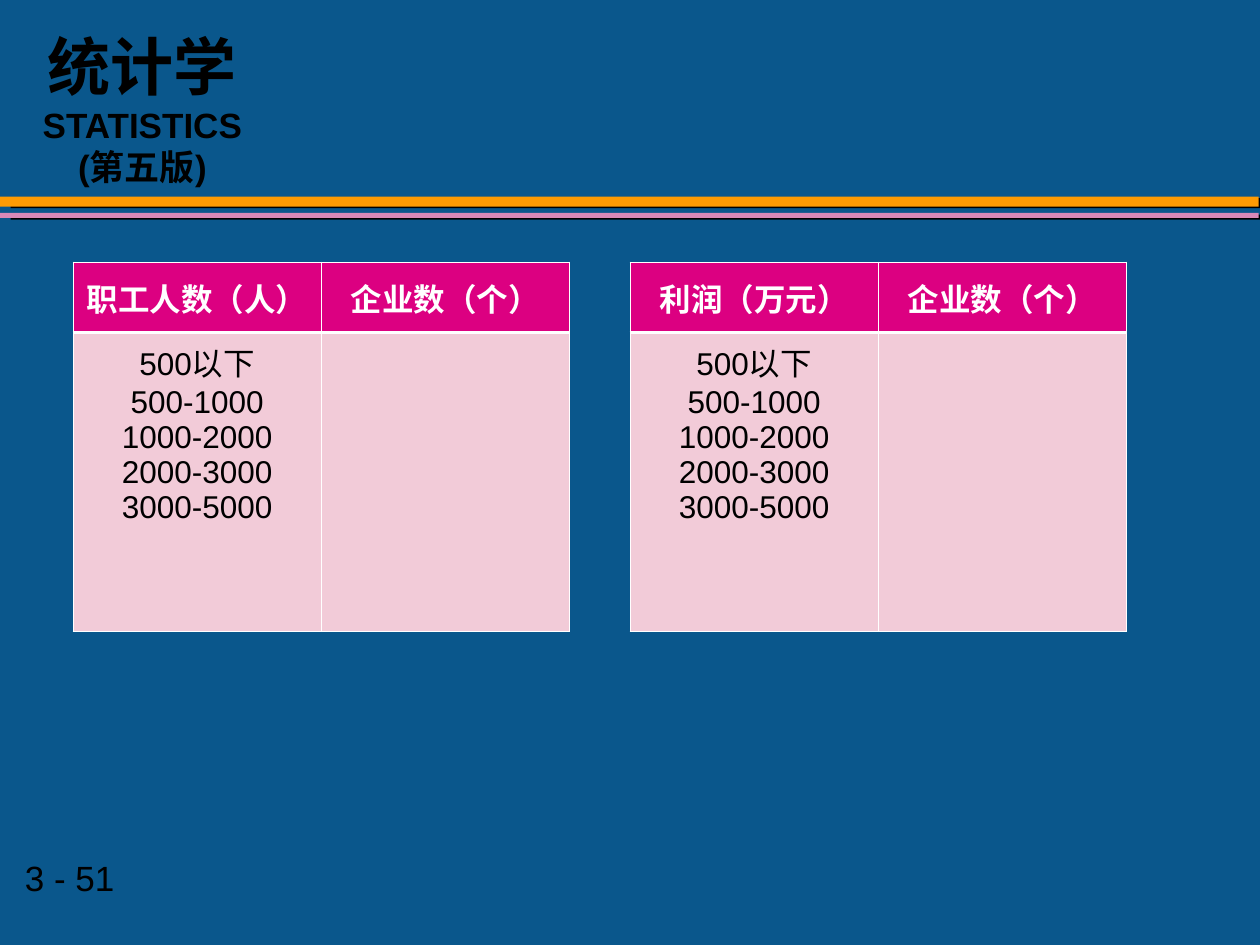
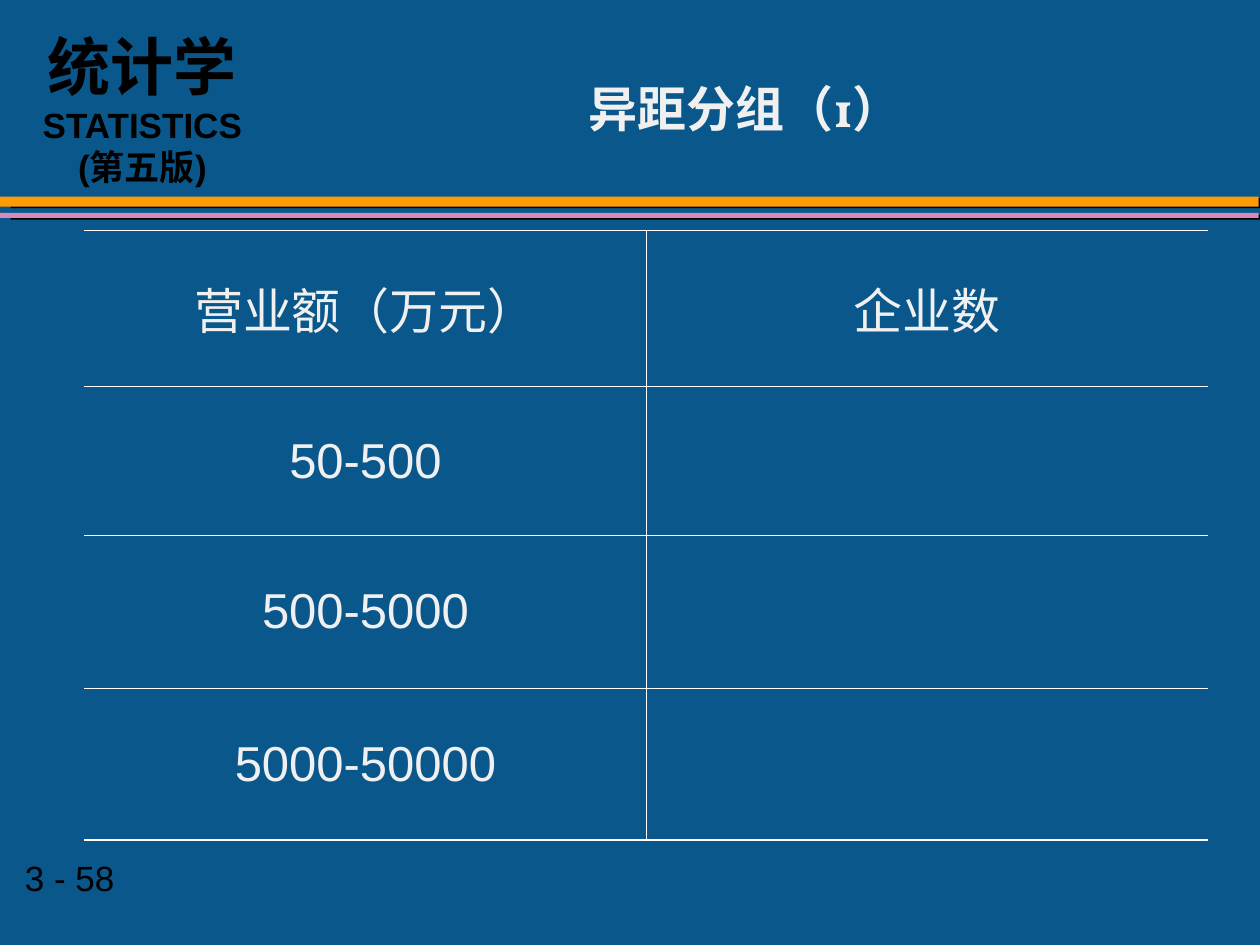
from lxml import etree
from pptx import Presentation
from pptx import util as u
from pptx.dml.color import RGBColor
from pptx.enum import shapes, text
from pptx.oxml.ns import qn

BLUE, ORANGE, PINK = "0A578C", "FE9B03", "D989B8"
MAGENTA, ROSE = "DC0081", "F2CBD8"
BLACK, WHITE, PALE = "000000", "FFFFFF", "F0F0F0"
THIN, RULE, THICK = 0.45, 1.08, 1.47
CENTER, LEFT = text.PP_ALIGN.CENTER, text.PP_ALIGN.LEFT
MIDDLE, TOP = text.MSO_ANCHOR.MIDDLE, text.MSO_ANCHOR.TOP


def rgb(color):
    return RGBColor.from_string(color)


def add_run(p, words, size=18, font="Arial", color=BLACK, bold=False):
    r = p.add_run()
    r.text = words
    r.font.size = u.Pt(size)
    r.font.name = font
    r.font.bold = bold
    r.font.color.rgb = rgb(color)


def write(tf, lines, align=CENTER, spacing=None, **fmt):
    """Write one paragraph per line, all in the same format."""
    for i, line in enumerate(lines):
        p = tf.add_paragraph() if i else tf.paragraphs[0]
        p.alignment = align
        if spacing:
            p.line_spacing = spacing
        add_run(p, line, **fmt)


def add_box(slide, x, y, w, h):
    sp = slide.shapes.add_textbox(*map(u.Inches, (x, y, w, h)))
    sp.text_frame.word_wrap = True
    return sp.text_frame


def add_band(slide, y, h, color):
    """Full-width rule with a hard black shadow."""
    sp = slide.shapes.add_shape(shapes.MSO_SHAPE.RECTANGLE, 0, u.Inches(y),
                                u.Inches(9.99), u.Inches(h))
    sp.fill.solid()
    sp.fill.fore_color.rgb = rgb(color)
    sp.line.fill.background()
    sp.shadow.inherit = False
    effects = sp._element.spPr.find(qn("a:effectLst"))
    shadow = etree.SubElement(effects, qn("a:outerShdw"), blurRad="0",
                              dist=str(u.Pt(6.1)), dir=str(9 * 60000),
                              algn="ctr", rotWithShape="0")
    etree.SubElement(shadow, qn("a:srgbClr"), val=BLACK)


def add_frame(slide, page):
    """Bands, page number and course name found on every slide."""
    add_band(slide, 1.56, 0.08, ORANGE)
    add_band(slide, 1.69, 0.04, PINK)
    write(add_box(slide, 0.1, 6.75, 1.87, 0.43), [f"3 - {page}"],
          align=LEFT, size=20)
    tf = add_box(slide, 0.17, 0.11, 1.92, 1.43)
    tf.margin_top = u.Inches(0.11)
    write(tf, ["统计学"], size=36, bold=True)
    add_run(tf.paragraphs[0], "STATISTICS", size=20, bold=True)
    p = tf.add_paragraph()
    p.alignment = CENTER
    add_run(p, "(第五版)", size=20, bold=True)


def set_borders(cell, left, right, top, bottom):
    """Draw white cell borders; a width of 0 means no line."""
    tcPr = cell._tc.get_or_add_tcPr()
    sides = zip("LRTB", (left, right, top, bottom))
    for i, (side, width) in enumerate(sides):
        ln = etree.Element(qn(f"a:ln{side}"), w=str(u.Pt(width)))
        if width:
            fill = etree.SubElement(ln, qn("a:solidFill"))
            etree.SubElement(fill, qn("a:srgbClr"), val=WHITE)
        else:
            etree.SubElement(ln, qn("a:noFill"))
        tcPr.insert(i, ln)


def add_table(slide, x, y, col_width, heights):
    sp = slide.shapes.add_table(len(heights), 2, u.Inches(x), u.Inches(y),
                                u.Inches(2 * col_width),
                                u.Inches(sum(heights)))
    table = sp.table
    table.first_row = table.horz_banding = False
    for col in table.columns:
        col.width = u.Inches(col_width)
    for row, height in zip(table.rows, heights):
        row.height = u.Inches(height)
    return table


def fill_cell(cell, lines, fill=None, anchor=MIDDLE, **fmt):
    if fill:
        cell.fill.solid()
        cell.fill.fore_color.rgb = rgb(fill)
    else:
        cell.fill.background()
    cell.vertical_anchor = anchor
    write(cell.text_frame, lines, **fmt)


def add_group_table(slide, x, variable):
    """Coloured table with a header row and one tall row of classes."""
    classes = ["500以下", "500-1000", "1000-2000", "2000-3000", "3000-5000"]
    table = add_table(slide, x, 2.08, 1.97, [0.56, 2.37])
    for c, (header, lines) in enumerate([(variable, classes),
                                         ("企业数（个）", [])]):
        head, body = table.cell(0, c), table.cell(1, c)
        fill_cell(head, [header], fill=MAGENTA, color=WHITE, bold=True)
        fill_cell(body, lines, fill=ROSE, anchor=TOP)
        set_borders(head, THIN, THIN, THIN, THICK)
        set_borders(body, THIN, THIN, THICK, THIN)


def add_open_table(slide, rows):
    """Unfilled table with open sides and stronger outer rules."""
    table = add_table(slide, 0.67, 1.83, 4.46, [1.24, 1.18, 1.21, 1.21])
    last = len(rows) - 1
    for i, row in enumerate(rows):
        for c, words in enumerate(row):
            cell = table.cell(i, c)
            fill_cell(cell, [words] if words else [], size=28, color=PALE)
            set_borders(cell, THIN if c else 0, 0 if c else THIN,
                        THIN if i else RULE, RULE if i == last else THIN)


def set_title(slide, words):
    sp = slide.shapes.title
    sp.left, sp.top = u.Inches(2), u.Inches(0.17)
    sp.width, sp.height = u.Inches(7.83), u.Inches(1.42)
    sp.text_frame.vertical_anchor = MIDDLE
    write(sp.text_frame, [words], spacing=0.95, size=28, font="Vollkorn",
          color=PALE, bold=True)


def main():
    prs = Presentation()
    prs.slide_width, prs.slide_height = u.Inches(10), u.Inches(7.5)
    background = prs.slide_master.background.fill
    background.solid()
    background.fore_color.rgb = rgb(BLUE)
    title_only, blank = prs.slide_layouts[5], prs.slide_layouts[6]

    # Employees and profit, side by side
    s = prs.slides.add_slide(blank)
    add_frame(s, 51)
    add_group_table(s, 0.58, "职工人数（人）")
    add_group_table(s, 5, "利润（万元）")

    # Classes of unequal width
    s = prs.slides.add_slide(title_only)
    add_frame(s, 58)
    set_title(s, "异距分组（1）")
    add_open_table(s, [("营业额（万元）", "企业数"), ("50-500", ""),
                       ("500-5000", ""), ("5000-50000", "")])

    prs.save("out.pptx")


if __name__ == "__main__":
    main()
